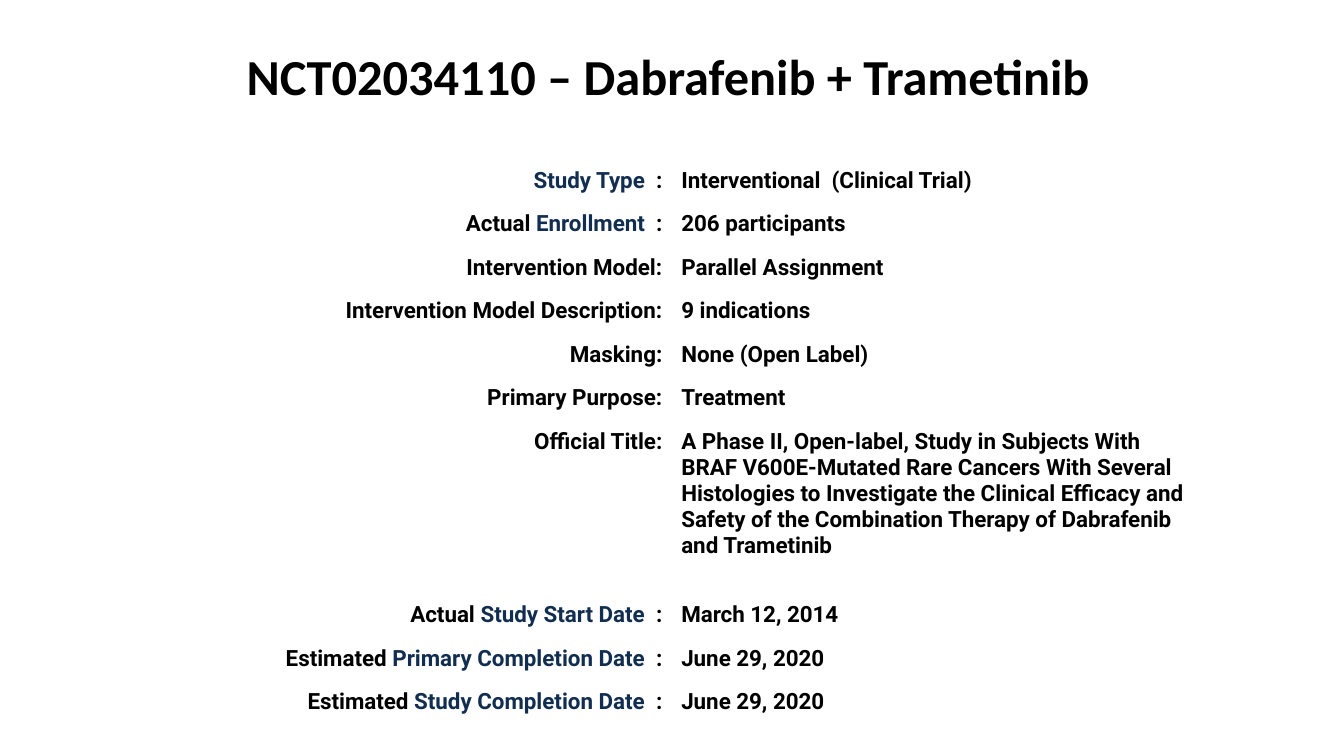
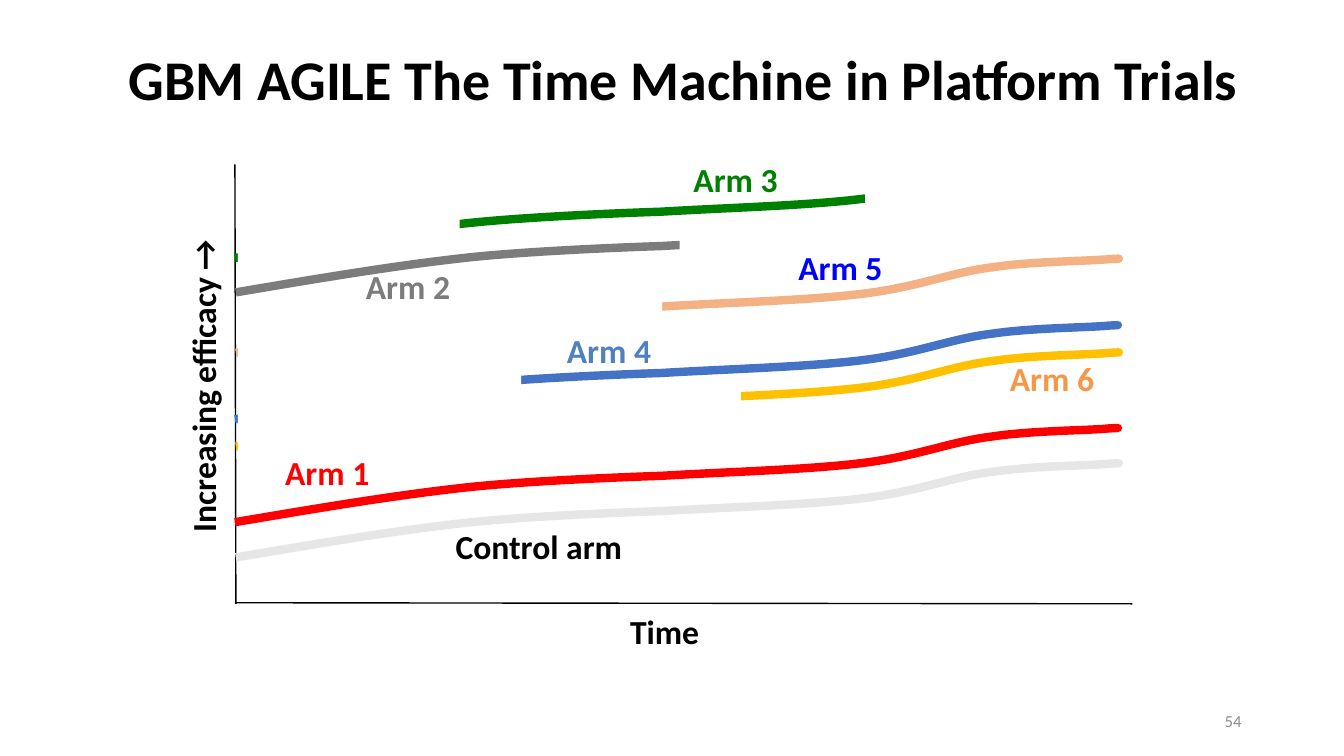
from pptx import Presentation
from pptx.dml.color import RGBColor
from pptx.enum.shapes import MSO_CONNECTOR, MSO_SHAPE
from pptx.enum.text import MSO_ANCHOR, PP_ALIGN
from pptx.oxml.ns import qn
from pptx.util import Inches, Pt
from lxml.etree import SubElement

BLACK = RGBColor(0x00, 0x00, 0x00)
WHITE = RGBColor(0xFF, 0xFF, 0xFF)
NAVY = RGBColor(0x11, 0x2E, 0x51)
RED = RGBColor(0xFF, 0x00, 0x00)
GREEN = RGBColor(0x00, 0x80, 0x00)
GRAY = RGBColor(0x7C, 0x7C, 0x7C)
PALE_GRAY = RGBColor(0xE7, 0xE6, 0xE6)
PAGE_GRAY = RGBColor(0x8C, 0x8C, 0x8C)
BLUE = RGBColor(0x44, 0x72, 0xC4)
STEEL = RGBColor(0x4F, 0x81, 0xBD)
PURE_BLUE = RGBColor(0x00, 0x00, 0xFF)
PEACH = RGBColor(0xF4, 0xB1, 0x83)
ORANGE = RGBColor(0xF7, 0x96, 0x46)
YELLOW = RGBColor(0xFF, 0xC0, 0x00)
TITLE_FONT, TABLE_FONT = "Calibri", "Roboto"

prs = Presentation()
prs.slide_width, prs.slide_height = Inches(13.33), Inches(7.5)
# All positions are percentages of the slide's width and height
PX, PY = prs.slide_width / 100, prs.slide_height / 100
blank = prs.slide_layouts[6]


def add_run(p, text, size, color=BLACK, font=TITLE_FONT, bold=True):
    r = p.add_run()
    r.text = text
    r.font.size, r.font.name, r.font.bold = Pt(size), font, bold
    r.font.color.rgb = color


def add_text(s, text, x, y, w, h, size=24, color=BLACK, align=PP_ALIGN.LEFT,
             anchor=MSO_ANCHOR.TOP, wrap=False, bold=True):
    sp = s.shapes.add_textbox(int(x * PX), int(y * PY), int(w * PX), int(h * PY))
    tf = sp.text_frame
    tf.word_wrap, tf.vertical_anchor = wrap, anchor
    p = tf.paragraphs[0]
    p.alignment = align
    add_run(p, text, size, color, bold=bold)
    return sp


# Slide 1: trial facts
s = prs.slides.add_slide(blank)
sp = add_text(s, "NCT02034110 – Dabrafenib + Trametinib", 5.18, 6.4, 89.12, 8.4, 36,
              align=PP_ALIGN.CENTER, anchor=MSO_ANCHOR.BOTTOM, wrap=True)
sp.text_frame.paragraphs[0].line_spacing = 0.9

# Each row: lead text, navy term, closing text, value
facts = [
    ("", "Study Type ", " :", "Interventional  (Clinical Trial)"),
    ("Actual ", "Enrollment ", " :", "206 participants"),
    ("Intervention Model:", "", "", "Parallel Assignment"),
    ("Intervention Model Description:", "", "", "9 indications"),
    ("Masking:", "", "", "None (Open Label)"),
    ("Primary Purpose:", "", "", "Treatment"),
    ("Official Title:", "", "",
     "A Phase II, Open-label, Study in Subjects With BRAF V600E-Mutated Rare Cancers "
     "With Several Histologies to Investigate the Clinical Efficacy and Safety of the "
     "Combination Therapy of Dabrafenib and Trametinib"),
    ("Actual ", "Study Start Date ", " :", "March 12, 2014"),
    ("Estimated ", "Primary Completion Date ", " :", "June 29, 2020"),
    ("Estimated ", "Study Completion Date ", " :", "June 29, 2020"),
]
ROW, TALL_ROW = 5.75, 23
table = s.shapes.add_table(len(facts), 2, int(10.53 * PX), int(21.55 * PY), int(78.92 * PX),
                           int((9 * ROW + TALL_ROW) * PY)).table
table.first_row = table.horz_banding = False
for i, (lead, term, close, value) in enumerate(facts):
    table.rows[i].height = int((TALL_ROW if lead == "Official Title:" else ROW) * PY)
    label_runs = [(lead, BLACK), (term, NAVY), (close, BLACK)]
    sides = [(label_runs, PP_ALIGN.RIGHT), ([(value, BLACK)], PP_ALIGN.LEFT)]
    for j, (runs, align) in enumerate(sides):
        cell = table.cell(i, j)
        cell.margin_left = cell.margin_right = Pt(6.75)
        cell.margin_top = cell.margin_bottom = Pt(3.4)
        cell.fill.solid()
        cell.fill.fore_color.rgb = WHITE
        p = cell.text_frame.paragraphs[0]
        p.alignment = align
        for text, color in runs:
            if text:
                add_run(p, text, 16, color, TABLE_FONT)

# Slide 2: platform trial arms over time
s = prs.slides.add_slide(blank)

# Axes
for x1, y1, x2, y2 in [(17.48, 79.73, 84.25, 79.87), (17.55, 79.87, 17.48, 21.73)]:
    c = s.shapes.add_connector(MSO_CONNECTOR.STRAIGHT, int(x1 * PX), int(y1 * PY),
                               int(x2 * PX), int(y2 * PY))
    c.line.color.rgb, c.line.width = BLACK, Pt(1)
    SubElement(c._element.spPr, qn("a:effectLst"))

# Shared trend relative to its start: two handles and an end for each Bezier segment
trend = [
    (5.78, -1.73), (11.55, -3.47), (16.88, -4.53),
    (22.13, -5.6), (31.73, -6.13), (31.73, -6.13),
    (36.76, -6.67), (42.76, -6.93), (46.89, -7.87),
    (50.94, -8.8), (53.26, -10.67), (56.34, -11.33),
    (59.34, -12.13), (63.62, -12.13), (65.04, -12.4),
    (66.54, -12.53), (65.04, -12.4), (65.04, -12.4),
]
TREND_WIDTH = int(65.72 * PX)

# Each arm: start of the trend, colour, fill, white covers that hide its inactive time
arms = [
    (17.48, 69.07, RED, None, []),
    (17.55, 73.73, PALE_GRAY, None, [(58.66, 41.2, 25.73, 8.13)]),
    (17.55, 59.07, YELLOW, WHITE, [(17.7, 49.2, 37.43, 12.53)]),
    (17.48, 55.47, BLUE, None, [(17.7, 47.73, 21.08, 8.93)]),
    (17.55, 46.67, PEACH, None, [(17.7, 38, 31.58, 9.73)]),
    (17.55, 38.67, GRAY, None, [(50.56, 24.8, 33.76, 8.4)]),
    (17.48, 34.13, GREEN, None, [(64.37, 17.6, 19.88, 10.13), (17.7, 27.73, 16.5, 5.47),
                                 (17.7, 26.13, 10.13, 8.8)]),
]
for x0, y0, color, fill, covers in arms:
    builder = s.shapes.build_freeform(x0 * PX, y0 * PY, scale=1.0)
    builder.add_line_segments([((x0 + dx) * PX, (y0 + dy) * PY) for dx, dy in trend],
                              close=False)
    sp = builder.convert_to_shape()
    sp.shadow.inherit = False
    sp.line.color.rgb, sp.line.width = color, Pt(6)
    if fill is None:
        sp.fill.background()
    else:
        sp.fill.solid()
        sp.fill.fore_color.rgb = fill

    # Turn every three points into one Bezier segment
    outline = next(sp._element.iter(qn("a:path")))
    points = outline.findall(qn("a:lnTo"))
    for k in range(0, len(points), 3):
        curve = SubElement(outline, qn("a:cubicBezTo"))
        for point in points[k:k + 3]:
            curve.append(point[0])
            outline.remove(point)
    sp.width = TREND_WIDTH
    outline.set("w", str(TREND_WIDTH))

    for x, y, w, h in covers:
        cover = s.shapes.add_shape(MSO_SHAPE.RECTANGLE, int(x * PX), int(y * PY),
                                   int(w * PX), int(h * PY))
        cover.shadow.inherit = False
        cover.fill.solid()
        cover.fill.fore_color.rgb = WHITE
        cover.line.fill.background()

# Labels, title and page number
labels = [
    ("Control arm", 33.16, 68.87, 14.1, BLACK),
    ("Time", 46.14, 80.13, 6.68, BLACK),
    ("Arm 1", 20.48, 59.13, 7.88, RED),
    ("Arm 2", 26.48, 34.53, 7.88, GRAY),
    ("Arm 3", 50.86, 20.33, 7.88, GREEN),
    ("Arm 4", 41.44, 43, 7.88, STEEL),
    ("Arm 5", 58.66, 32, 7.88, PURE_BLUE),
    ("Arm 6", 74.4, 46.67, 7.88, ORANGE),
]
for text, x, y, w, color in labels:
    add_text(s, text, x, y, w, 6.8, color=color)
add_text(s, "GBM AGILE The Time Machine in Platform Trials", 7.65, 2.93, 86.35, 14.8, 40,
         align=PP_ALIGN.CENTER, anchor=MSO_ANCHOR.MIDDLE, wrap=True)
add_text(s, "Increasing efficacy →", 3.08, 46.93, 24.08, 6.8).rotation = 270
add_text(s, "54", 70.62, 92.67, 22.5, 5.33, 12, PAGE_GRAY, PP_ALIGN.RIGHT,
         MSO_ANCHOR.MIDDLE, wrap=True, bold=False)

prs.save("out.pptx")
